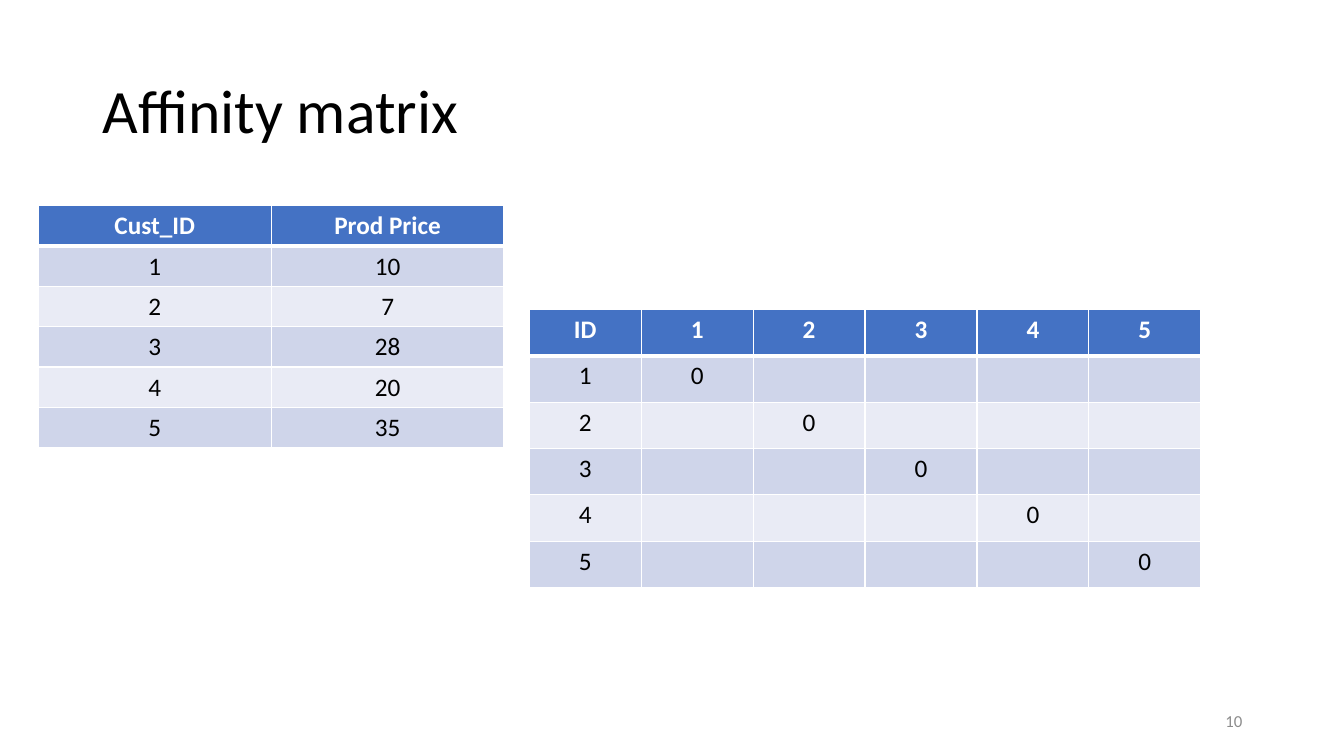
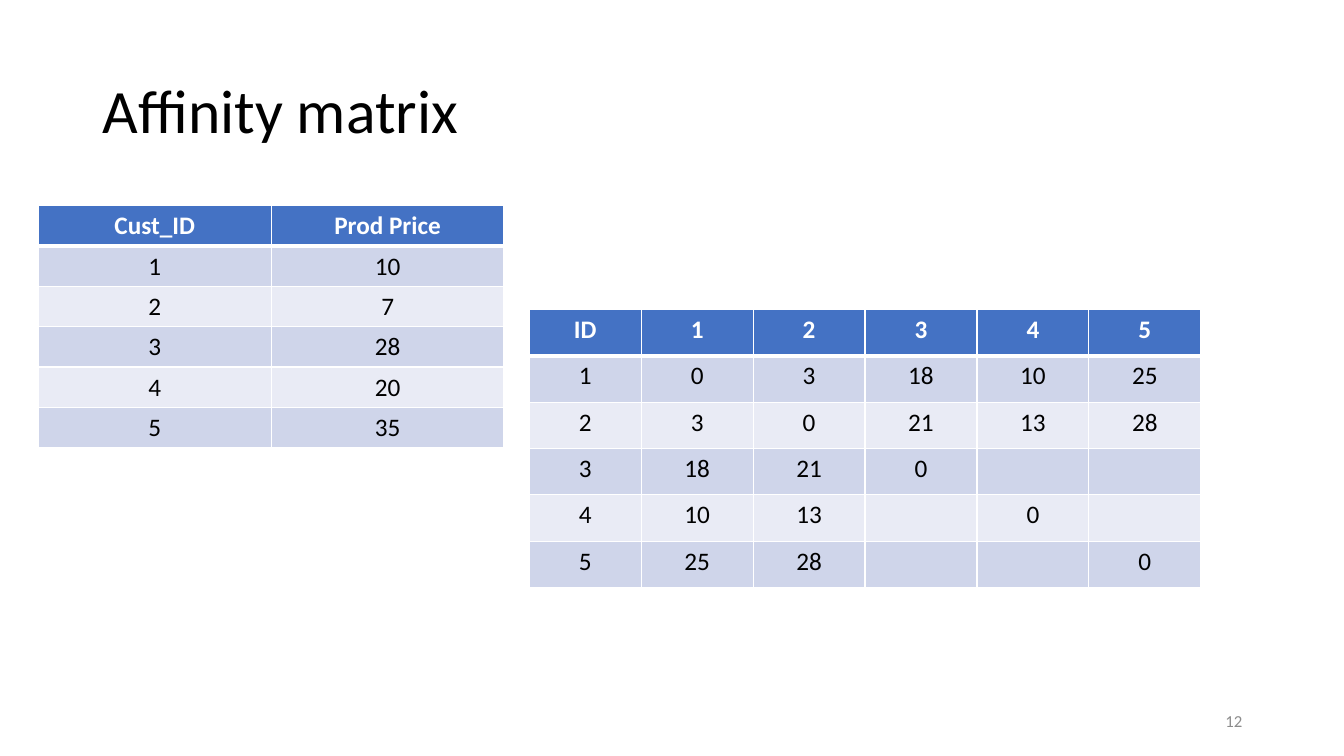
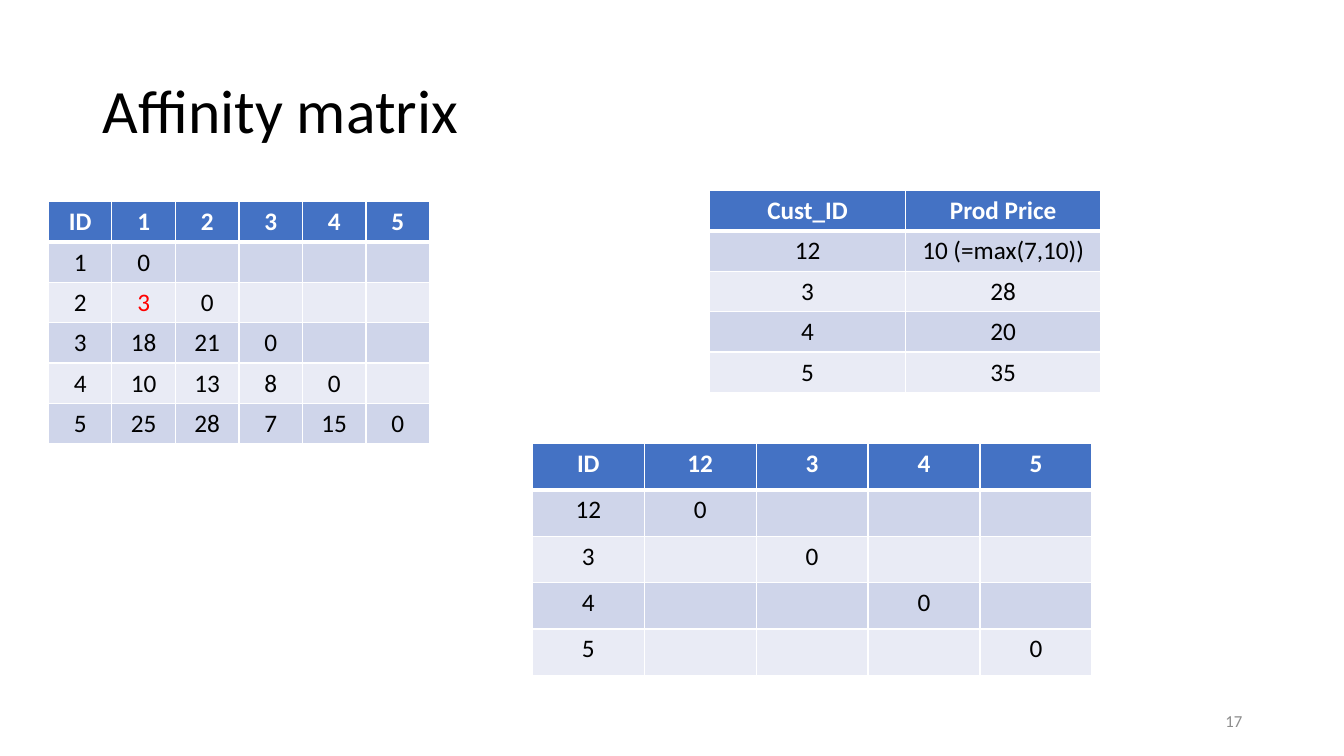
from dataclasses import dataclass

from lxml import etree
from pptx import Presentation
from pptx.dml.color import RGBColor
from pptx.enum.text import MSO_ANCHOR, PP_ALIGN
from pptx.oxml.ns import qn
from pptx.util import Inches, Pt

LEFT, CENTER, RIGHT = PP_ALIGN.LEFT, PP_ALIGN.CENTER, PP_ALIGN.RIGHT
MIDDLE = MSO_ANCHOR.MIDDLE
BLANK_LAYOUT = 6


@dataclass(frozen=True)
class Theme:
    font: str = "Calibri"
    title_size: int = 44
    table_size: int = 18
    number_size: int = 12
    black: str = "000000"
    white: str = "FFFFFF"
    gray: str = "8C8C8C"
    red: str = "FF0000"
    header: str = "4472C4"
    bands: tuple = ("CFD5EA", "E9EBF5")
    thin: int = 1
    thick: int = 3


class Deck:
    """Holds the theme, the presentation and the slide being filled."""

    def __init__(self, theme):
        self.theme = theme
        self.presentation = Presentation()
        self.presentation.slide_width = Inches(13.33)
        self.presentation.slide_height = Inches(7.5)
        self.slide = None

    def add_slide(self, title, number):
        layout = self.presentation.slide_layouts[BLANK_LAYOUT]
        self.slide = self.presentation.slides.add_slide(layout)
        theme = self.theme
        self.text(str(number), (9.42, 6.95, 3, 0.4), RIGHT, theme.number_size, theme.gray)
        self.text(title, (0.92, 0.4, 11.5, 1.45), LEFT, theme.title_size, theme.black, 0.9)

    def fill_paragraph(self, paragraph, text, alignment, size, color, bold=False):
        paragraph.alignment = alignment
        run = paragraph.add_run()
        run.text = text
        style = {"name": self.theme.font, "size": Pt(size), "bold": bold}
        for name, value in style.items():
            setattr(run.font, name, value)
        run.font.color.rgb = RGBColor.from_string(color)

    def text(self, text, box, alignment, size, color, line_spacing=1.0):
        shape = self.slide.shapes.add_textbox(*map(Inches, box))
        frame = shape.text_frame
        frame.word_wrap = True
        frame.vertical_anchor = MIDDLE
        paragraph = frame.paragraphs[0]
        paragraph.line_spacing = line_spacing
        self.fill_paragraph(paragraph, text, alignment, size, color)

    def border(self, cell, side, width):
        properties = cell._tc.get_or_add_tcPr()
        line = etree.SubElement(properties, qn(f"a:ln{side}"), w=str(Pt(width)))
        fill = etree.SubElement(line, qn("a:solidFill"))
        etree.SubElement(fill, qn("a:srgbClr"), val=self.theme.white)

    def table(self, rows, left, top, column_width, row_height, highlights=()):
        """Draws a banded table; highlights lists the (row, column) cells in red."""
        theme = self.theme
        size = (column_width * len(rows[0]), row_height * len(rows))
        frame = self.slide.shapes.add_table(
            len(rows), len(rows[0]), *map(Inches, (left, top, *size)))
        table = frame.table
        table.horz_banding = False
        for row_index, values in enumerate(rows):
            is_header = row_index == 0
            fill = theme.header if is_header else theme.bands[(row_index - 1) % 2]
            widths = {
                "L": theme.thin,
                "R": theme.thin,
                "T": theme.thick if row_index == 1 else theme.thin,
                "B": theme.thick if is_header else theme.thin,
            }
            for column_index, value in enumerate(values):
                cell = table.cell(row_index, column_index)
                for side, width in widths.items():
                    self.border(cell, side, width)
                cell.fill.solid()
                cell.fill.fore_color.rgb = RGBColor.from_string(fill)
                if value == "":
                    continue
                color = theme.white if is_header else theme.black
                if (row_index, column_index) in highlights:
                    color = theme.red
                self.fill_paragraph(cell.text_frame.paragraphs[0], str(value), CENTER,
                                    theme.table_size, color, is_header)


def price_rows(prices, notes=None):
    """Lists customers and prices; notes follow the price of a customer."""
    notes = notes or {}
    return [("Cust_ID", "Prod Price")] + [
        (customer, f"{price}{notes.get(customer, '')}")
        for customer, price in prices.items()]


def affinity_rows(prices, is_shown):
    """Lists price distances, leaving blank the positions not shown."""
    rows = [["ID", *prices]]
    for i, (customer, price) in enumerate(prices.items()):
        distances = [abs(price - other) if is_shown(i, j) else ""
                     for j, other in enumerate(prices.values())]
        rows.append([customer, *distances])
    return rows


def on_diagonal(i, j):
    return i == j


def in_first_two_or_diagonal(i, j):
    return i == j or min(i, j) < 2


def in_lower_triangle(i, j):
    return j <= i


def main():
    title = "Affinity matrix"
    prices = {1: 10, 2: 7, 3: 28, 4: 20, 5: 35}
    merged_prices = {12: 10, 3: 28, 4: 20, 5: 35}
    deck = Deck(Theme())

    for number, is_shown in ((10, on_diagonal), (12, in_first_two_or_diagonal)):
        deck.add_slide(title, number)
        deck.table(affinity_rows(prices, is_shown), 5.25, 3.07, 1.11, 0.46)
        deck.table(price_rows(prices), 0.38, 2.04, 2.31, 0.4)

    deck.add_slide(title, 17)
    deck.table(affinity_rows(prices, in_lower_triangle), 0.48, 2, 0.63, 0.4,
               highlights={(2, 1)})
    deck.table(affinity_rows(merged_prices, on_diagonal), 5.28, 4.4, 1.11, 0.46)
    deck.table(price_rows(merged_prices, {12: " (=max(7,10))"}), 7.04, 1.89, 1.94, 0.4)

    deck.presentation.save("out.pptx")


if __name__ == "__main__":
    main()
